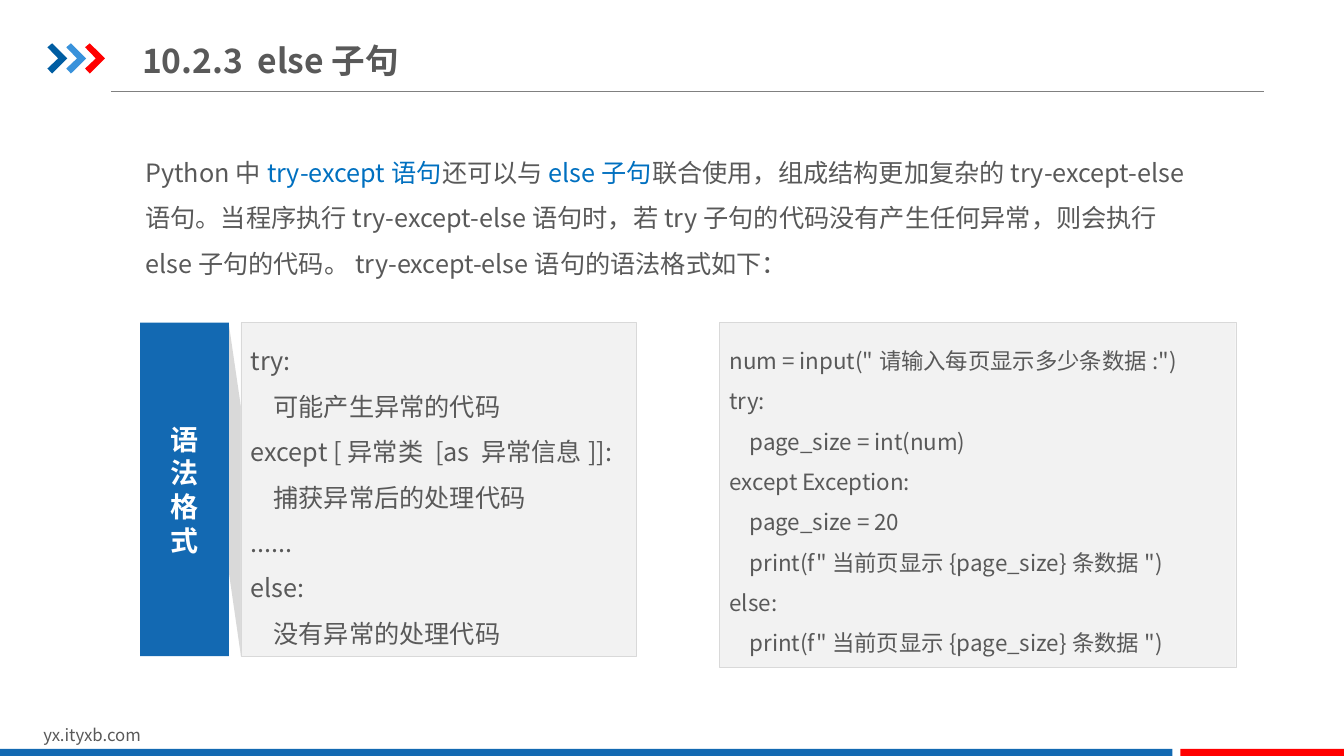
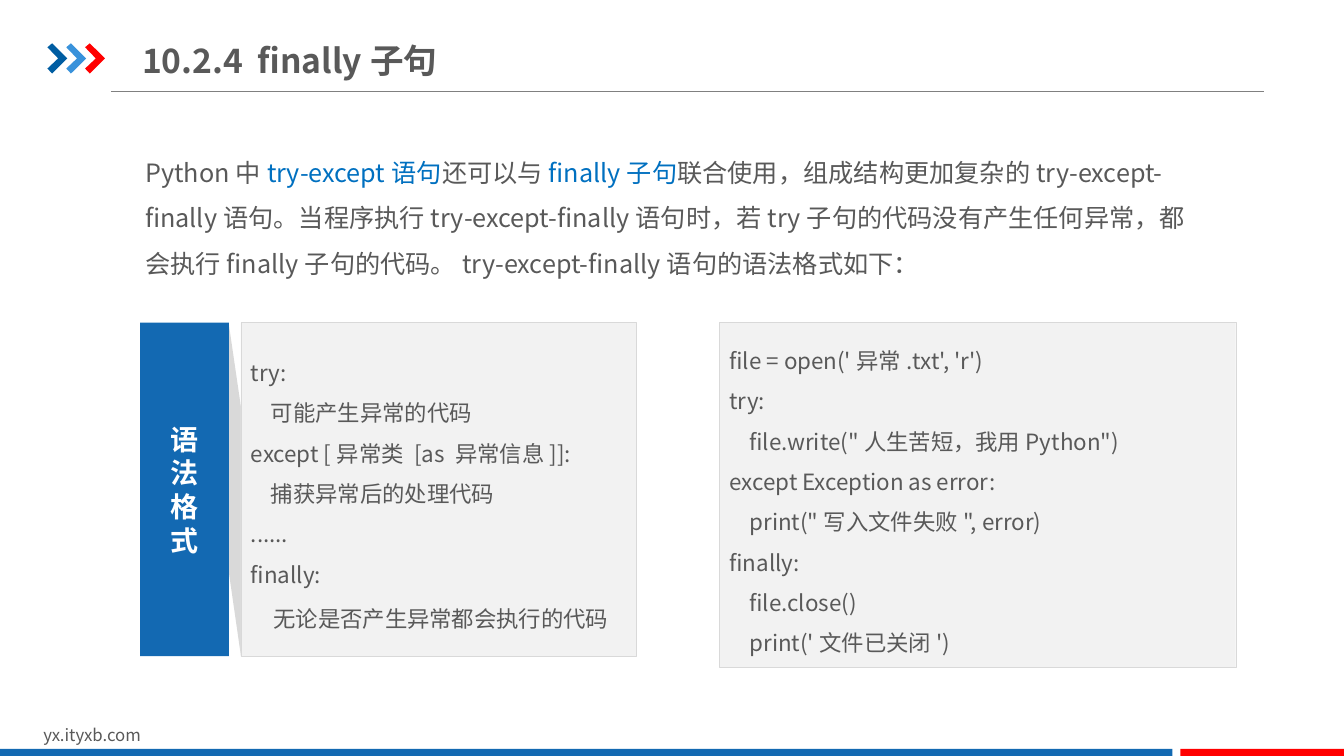
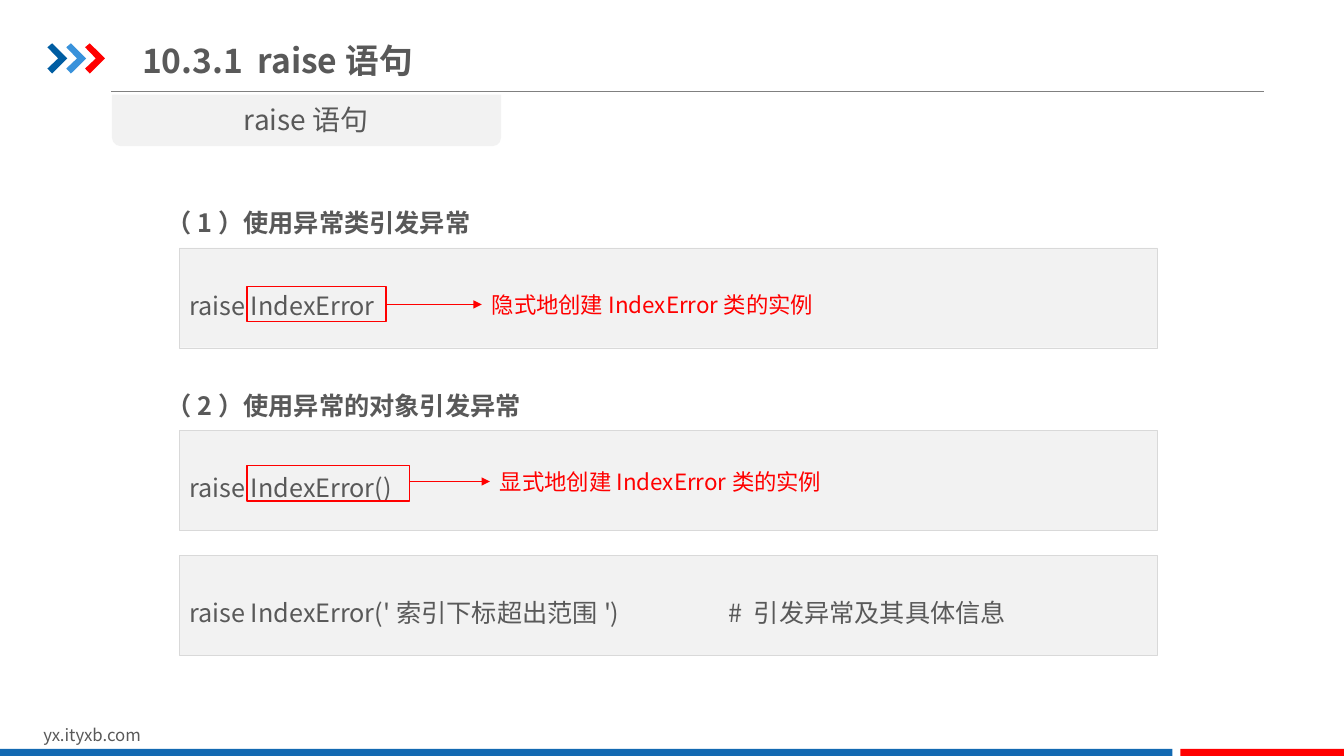
"""Build three slides on else, finally and raise in Python exception handling."""
import pptx
import pptx.dml.color
import pptx.enum.shapes
import pptx.enum.text
import pptx.oxml.ns
import pptx.util
import lxml.etree

RGBColor = pptx.dml.color.RGBColor
Pt = pptx.util.Pt
Shape = pptx.enum.shapes.MSO_SHAPE
Align = pptx.enum.text.PP_ALIGN
Anchor = pptx.enum.text.MSO_ANCHOR
qn = pptx.oxml.ns.qn

GREY = RGBColor(0x59, 0x59, 0x59)
RULE = RGBColor(0x80, 0x80, 0x80)
PANEL = RGBColor(0xF2, 0xF2, 0xF2)
EDGE = RGBColor(0xD9, 0xD9, 0xD9)
BLUE = RGBColor(0x13, 0x69, 0xB2)
NAVY = RGBColor(0x00, 0x5D, 0xA2)
SKY = RGBColor(0x39, 0x92, 0xDB)
LINK = RGBColor(0x00, 0x70, 0xC0)
RED = RGBColor(0xFF, 0x00, 0x00)
WHITE = RGBColor(0xFF, 0xFF, 0xFF)
FONT = "Noto Sans CJK SC"

prs = pptx.Presentation()
prs.slide_width = pptx.util.Inches(13.333)
prs.slide_height = pptx.util.Inches(7.5)
COL, ROW = prs.slide_width / 100, prs.slide_height / 100


def box(s, kind, x, y, w, h, fill=None, edge=None, weight=0.25):
    """Add a shape, or a text box if kind is None, in percent of the slide."""
    area = [int(v) for v in (x * COL, y * ROW, w * COL, h * ROW)]
    if kind is None:
        return s.shapes.add_textbox(*area)
    sp = s.shapes.add_shape(kind, *area)
    sp.shadow.inherit = False
    if fill is None:
        sp.fill.background()
    else:
        sp.fill.solid()
        sp.fill.fore_color.rgb = fill
    if edge is None:
        sp.line.fill.background()
    else:
        sp.line.color.rgb = edge
        sp.line.width = Pt(weight)
    return sp


def write(sp, paras, size=18, color=GREY, bold=False, spacing=None,
          align=Align.LEFT, anchor=Anchor.MIDDLE, tab=None):
    """Fill a shape with paragraphs, each a string or a list of (text, size, color)."""
    tf = sp.text_frame
    tf.word_wrap = True
    tf.vertical_anchor = anchor
    for i, para in enumerate(paras):
        p = tf.add_paragraph() if i else tf.paragraphs[0]
        if tab:
            tabs = lxml.etree.SubElement(p._p.get_or_add_pPr(), qn("a:tabLst"))
            lxml.etree.SubElement(tabs, qn("a:tab"), pos=str(int(tab * COL)), algn="l")
        p.alignment = align
        if spacing:
            p.line_spacing = spacing
        for text, run_size, run_color in [(para, size, color)] if isinstance(para, str) else para:
            r = p.add_run()
            r.text = text
            r.font.color.rgb = run_color
            for key, value in {"size": Pt(run_size), "bold": bold, "name": FONT}.items():
                setattr(r.font, key, value)
            lxml.etree.SubElement(r._r.get_or_add_rPr(), qn("a:ea"), typeface=FONT)


layout = prs.slide_layouts[6]
for ph in list(layout.placeholders):
    layout.shapes.element.remove(ph.element)
slides = [prs.slides.add_slide(layout) for _ in range(3)]

shared = [
    box(slides[0], Shape.RECTANGLE, 0, 99.07, 87.23, 0.93, BLUE),
    box(slides[0], Shape.RECTANGLE, 87.83, 99.07, 12.17, 0.93, RED),
    box(slides[0], None, 2.48, 95.2, 23.85, 4),
]
write(shared[-1], ["yx.ityxb.com"], 12, anchor=Anchor.TOP)

CHEVRON = [(0, 0.53), (0.35, 0), (1.48, 2), (0.35, 4), (0, 3.34), (0.8, 2)]
FOLD = [(17.93, 53.87), (17.93, 86.8), (17.03, 75.73), (17.03, 42.93)]
outlines = [(slides[0], [(3.53 + 1.4 * i + x, 5.73 + y) for x, y in CHEVRON], color, True)
            for i, color in enumerate([NAVY, SKY, RED])]
outlines += [(s, FOLD, EDGE, False) for s in slides[:2]]
for s, points, color, common in outlines:
    points = [(int(x * COL), int(y * ROW)) for x, y in points]
    builder = s.shapes.build_freeform(*points[0])
    builder.add_line_segments(points[1:], close=True)
    sp = builder.convert_to_shape()
    sp.shadow.inherit = False
    sp.fill.solid()
    sp.fill.fore_color.rgb = color
    sp.line.fill.background()
    if common:
        shared.append(sp)

titles = ["10.2.3\telse子句", "10.2.4\tfinally子句", "10.3.1\traise语句"]
for s, title in zip(slides, titles):
    write(box(s, None, 9.83, 3.87, 40.58, 8.13), [title], 24, bold=True, tab=8.6)

SYNTAX = [
    "try:",
    "    可能产生异常的代码",
    "except [异常类 [as 异常信息]]:",
    "    捕获异常后的处理代码",
    "......",
]
clauses = [
    ("else", "则", 18, ["else:", "    没有异常的处理代码"], [
        'num = input("请输入每页显示多少条数据:")',
        "try:",
        "    page_size = int(num)",
        "except Exception:",
        "    page_size = 20",
        '    print(f"当前页显示{page_size}条数据")',
        "else:",
        '    print(f"当前页显示{page_size}条数据")',
    ]),
    ("finally", "都", 16,
     ["finally:", [("    ", 18, GREY), ("无论是否产生异常都会执行的代码", 16, GREY)]], [
        "file = open('异常.txt', 'r')",
        "try:",
        '    file.write("人生苦短，我用Python")',
        "except Exception as error:",
        '    print("写入文件失败", error)',
        "finally:",
        "    file.close()",
        "    print('文件已关闭')",
    ]),
]
for s, (word, then, size, ending, code) in zip(slides, clauses):
    full = f"try-except-{word}语句"
    intro = [
        ("Python中", GREY),
        ("try-except语句", LINK),
        ("还可以与", GREY),
        (f"{word}子句", LINK),
        (f"联合使用，组成结构更加复杂的{full}。当程序执行{full}时，若try子句的代码没有产生任何异常，"
         f"{then}会执行{word}子句的代码。{full}的语法格式如下：", GREY),
    ]
    sp = box(s, None, 9.83, 17.87, 81, 21.6)
    for side, inset in {"left": 0.13, "right": 0.13, "top": 0.07, "bottom": 0.07}.items():
        setattr(sp.text_frame, f"margin_{side}", pptx.util.Inches(inset))
    write(sp, [[(text, 18, color) for text, color in intro]], spacing=1.5, anchor=Anchor.TOP)
    write(box(s, Shape.RECTANGLE, 17.93, 42.67, 29.4, 44.13, PANEL, EDGE),
          SYNTAX + ending, size, spacing=1.5)
    write(box(s, Shape.RECTANGLE, 10.43, 42.67, 6.6, 44.13, BLUE),
          list("语法格式"), 20, WHITE, True, align=Align.CENTER)
    write(box(s, Shape.RECTANGLE, 53.55, 42.67, 38.4, 45.6, PANEL, EDGE), code, 16, spacing=1.5)

s = slides[2]
box(s, Shape.ROUND_2_SAME_RECTANGLE, 8.33, 12.53, 28.95, 6.8, PANEL).rotation = 180
write(box(s, None, 8.33, 12.93, 28.95, 5.87), ["raise语句"], 20, align=Align.CENTER, anchor=Anchor.TOP)

for y, heading in [(24.8, "（1）使用异常类引发异常"), (48.93, "（2）使用异常的对象引发异常")]:
    write(box(s, None, 11.63, y, 76.2, 7.33), [heading], bold=True, spacing=1.5, anchor=Anchor.TOP)

statements = [
    (32.8, "raise IndexError"),
    (56.93, "raise IndexError()"),
    (73.47, "raise IndexError('索引下标超出范围')\t# 引发异常及其具体信息"),
]
for y, code in statements:
    write(box(s, Shape.RECTANGLE, 13.35, y, 72.75, 13.2, PANEL, EDGE), [code], spacing=1.5, tab=40.1)

lines = [(slides[0], 8.25, 94.05, 12.13, RULE, False)]
callouts = [
    (37.87, 10.35, 35.85, 40.27, "隐式地创建IndexError类的实例"),
    (61.6, 12.1, 36.45, 63.7, "显式地创建IndexError类的实例"),
]
for top, width, tip, middle, note in callouts:
    box(s, Shape.RECTANGLE, 18.38, top, width, 4.67, edge=RED, weight=1)
    write(box(s, None, tip, middle - 3.5, 33, 7), [note], 16, RED)
    lines.append((s, 18.38 + width, tip, middle, RED, True))

for s, x1, x2, y, color, arrow in lines:
    cx = s.shapes.add_connector(pptx.enum.shapes.MSO_CONNECTOR.STRAIGHT,
                                int(x1 * COL), int(y * ROW), int(x2 * COL), int(y * ROW))
    cx.line.color.rgb = color
    cx.line.width = Pt(0.75)
    spPr = cx.element.spPr
    lxml.etree.SubElement(spPr, qn("a:effectLst"))
    if arrow:
        lxml.etree.SubElement(spPr.find(qn("a:ln")), qn("a:tailEnd"), type="triangle")
    else:
        shared.append(cx)

for sp in shared:
    layout.shapes.element.append(sp.element)

prs.save("out.pptx")
